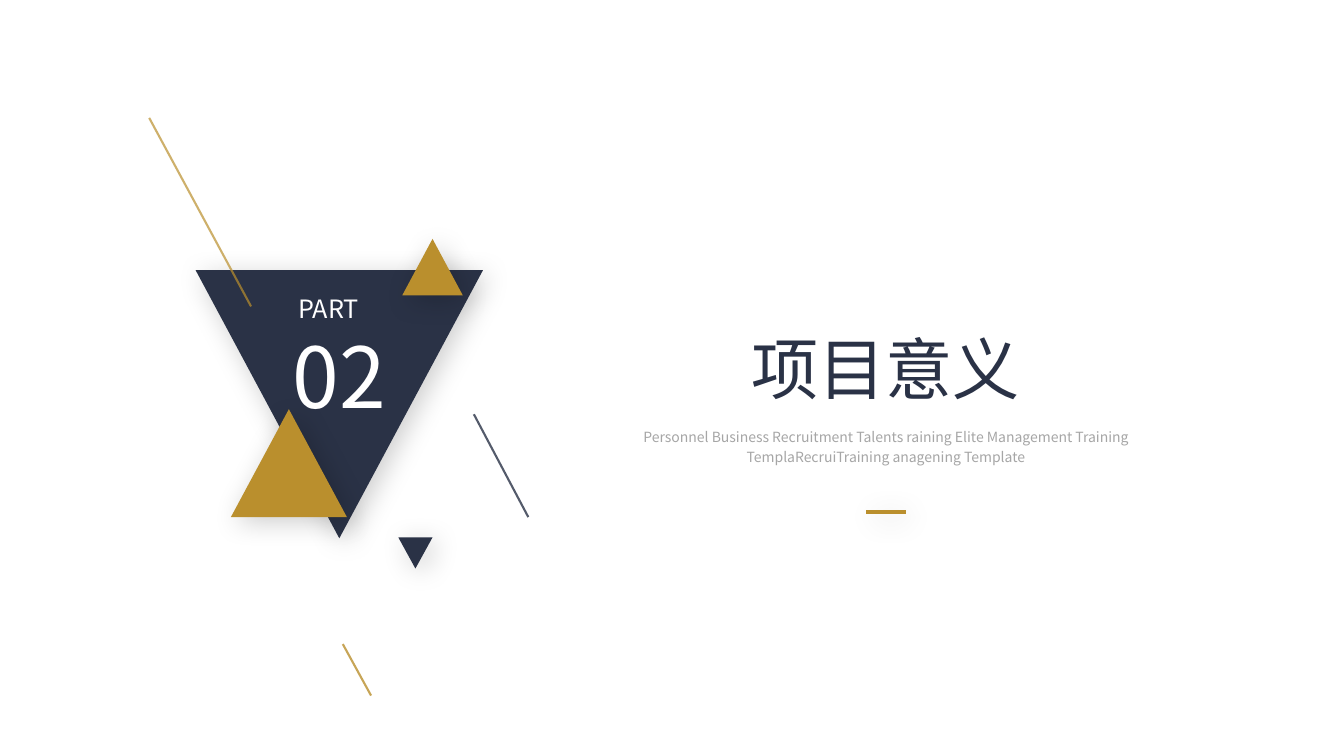
"""Build a section-opening slide with triangles, slanted lines and a title."""
from lxml import etree
from pptx import Presentation
from pptx.dml.color import RGBColor
from pptx.enum.shapes import MSO_CONNECTOR, MSO_SHAPE
from pptx.enum.text import MSO_ANCHOR, MSO_AUTO_SIZE, PP_ALIGN
from pptx.oxml.ns import qn
from pptx.util import Inches, Pt

NAVY = RGBColor(0x2A, 0x32, 0x46)
GOLD = RGBColor(0xBA, 0x8F, 0x2D)
GREY = RGBColor(0xA6, 0xA6, 0xA6)
WHITE = RGBColor(0xFF, 0xFF, 0xFF)
FONT = "Noto Sans CJK SC"
TRI = MSO_SHAPE.ISOSCELES_TRIANGLE
LINE = MSO_CONNECTOR.STRAIGHT
TOP = MSO_ANCHOR.TOP
FIT = MSO_AUTO_SIZE.SHAPE_TO_FIT_TEXT
MID = PP_ALIGN.CENTER
JUST = PP_ALIGN.JUSTIFY


class Deck:
    """Hold the style and the current slide."""

    def __init__(self):
        self.prs = Presentation()
        self.prs.slide_width = Inches(13.33)
        self.prs.slide_height = Inches(7.5)
        self.slide = self.prs.slides.add_slide(self.prs.slide_layouts[5])
        self.shapes = self.slide.shapes

    def fill(self, shape, text, size, color, align=MID, wrap=False, gap=1.0):
        frame = shape.text_frame
        frame.word_wrap = wrap
        frame.auto_size = FIT
        frame.vertical_anchor = TOP
        para = frame.paragraphs[0]
        para.alignment = align
        para.line_spacing = gap
        run = para.add_run()
        run.text = text
        run.font.size = Pt(size)
        run.font.name = FONT
        run.font.color.rgb = color
        east = etree.SubElement(run.font._element, qn("a:ea"))
        east.set("typeface", FONT)

    def title(self, box, text, size, color):
        shape = self.shapes.title
        shape.left, shape.top, shape.width, shape.height = map(Inches, box)
        self.fill(shape, text, size, color)

    def text(self, box, text, size, color, **style):
        shape = self.shapes.add_textbox(*map(Inches, box))
        self.fill(shape, text, size, color, **style)

    def shade(self, shape):
        props = shape._element.spPr
        effects = props.find(qn("a:effectLst"))
        glow = etree.SubElement(
            effects, qn("a:outerShdw"), blurRad=str(Pt(20)), dist=str(Pt(5)),
            dir="2700000", algn="tl", rotWithShape="0")
        tint = etree.SubElement(glow, qn("a:srgbClr"), val="000000")
        etree.SubElement(tint, qn("a:alpha"), val="20000")

    def triangle(self, box, color, turn=0):
        shape = self.shapes.add_shape(TRI, *map(Inches, box))
        shape.rotation = turn
        shape.fill.solid()
        shape.fill.fore_color.rgb = color
        shape.line.fill.background()
        shape.shadow.inherit = False
        self.shade(shape)

    def line(self, start, end, color, width=1.5, alpha=100, shade=False):
        line = self.shapes.add_connector(LINE, *map(Inches, start + end))
        line.line.color.rgb = color
        line.line.width = Pt(width)
        props = line._element.spPr
        if alpha < 100:
            tint = props.find(".//" + qn("a:srgbClr"))
            etree.SubElement(tint, qn("a:alpha"), val=str(alpha * 1000))
        etree.SubElement(props, qn("a:effectLst"))
        if shade:
            self.shade(line)


def main():
    deck = Deck()
    deck.title((7.35, 3.2, 2.87, 0.91), "项目意义", 48, NAVY)
    deck.text((5.59, 4.17, 6.39, 0.71),
              "Personnel Business Recruitment Talents raining Elite Management "
              "Training TemplaRecruiTraining anagening Template",
              10, GREY, wrap=True, gap=1.2)
    deck.triangle((1.94, 2.68, 2.85, 2.66), NAVY, 180)
    deck.triangle((2.29, 4.06, 1.15, 1.07), GOLD)
    deck.line((1.48, 1.17), (2.49, 3.04), GOLD, alpha=70)
    deck.line((4.7, 4.11), (5.24, 5.13), NAVY, alpha=80)
    deck.text((2.8, 3.17, 1.13, 1.11), "02", 60, WHITE)
    deck.text((2.86, 2.86, 1, 0.4), "PART", 18, WHITE, align=JUST, wrap=True)
    deck.triangle((3.99, 2.37, 0.6, 0.56), GOLD)
    deck.line((3.4, 6.39), (3.68, 6.9), GOLD, alpha=80)
    deck.triangle((3.95, 5.33, 0.34, 0.31), NAVY, 180)
    deck.line((8.59, 5.08), (8.99, 5.08), GOLD, width=3, shade=True)
    deck.prs.save("out.pptx")


if __name__ == "__main__":
    main()
